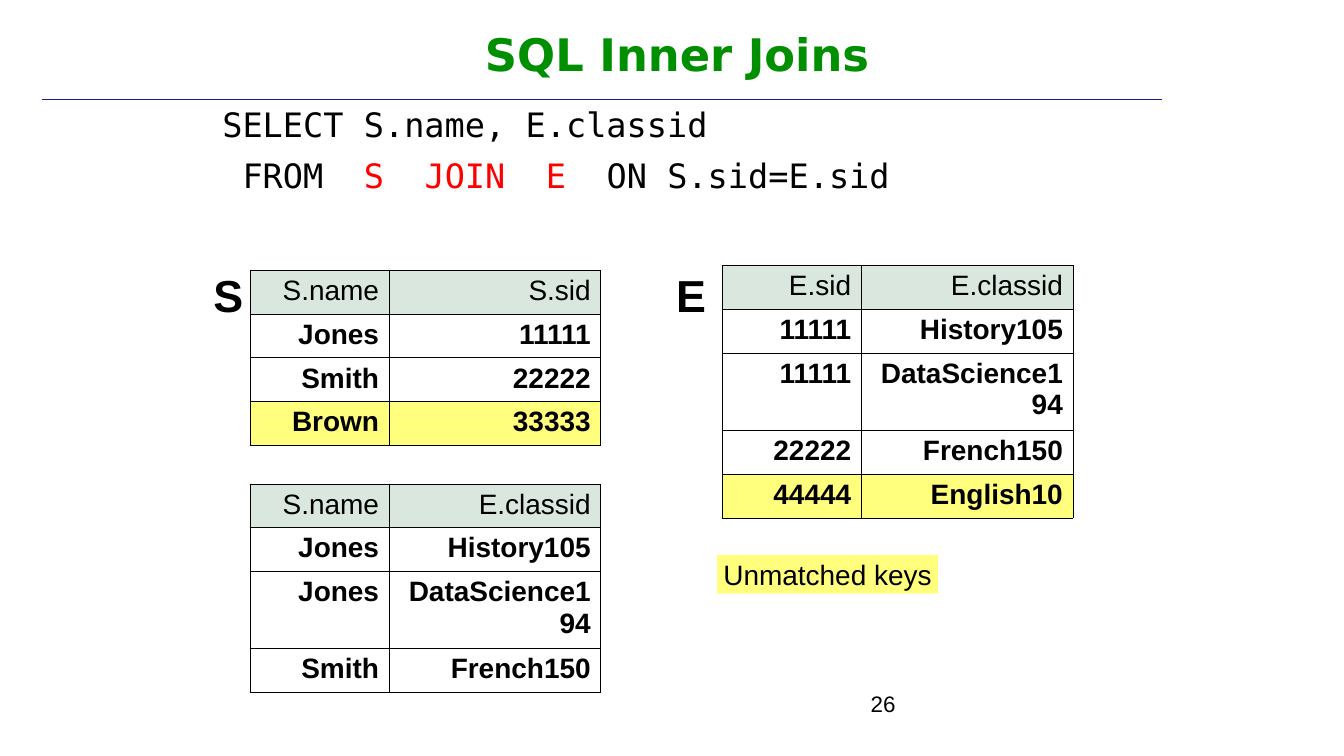
from dataclasses import dataclass

from lxml.etree import SubElement
from pptx import Presentation
from pptx.dml.color import RGBColor
from pptx.enum.shapes import MSO_CONNECTOR as Connector
from pptx.enum.text import MSO_ANCHOR as Anchor, PP_ALIGN as Align
from pptx.oxml.ns import qn
from pptx.util import Inches, Length, Pt

BLACK = RGBColor(0x00, 0x00, 0x00)
RED = RGBColor(0xFF, 0x00, 0x00)
GREEN = RGBColor(0x00, 0x8F, 0x00)
NAVY = RGBColor(0x19, 0x1B, 0x91)
HEADER_FILL = RGBColor(0xD9, 0xE7, 0xDF)
UNMATCHED_FILL = RGBColor(0xFF, 0xFF, 0x7D)

WIDTH, HEIGHT = Inches(26.67), Inches(15)
COLUMN_SHARES = (10.35, 15.75)
ROW_SHARE, WRAPPED_ROW_SHARE = 5.8, 10.2
LONGEST_LINE = 13


def across(percent: float) -> Length:
    return Length(round(WIDTH * percent / 100))


def down(percent: float) -> Length:
    return Length(round(HEIGHT * percent / 100))


@dataclass(frozen=True)
class Span:
    text: str
    color: RGBColor = BLACK


@dataclass(frozen=True)
class TextBlock:
    left: float
    top: float
    width: float
    height: float
    lines: tuple[tuple[Span, ...], ...]
    size: int
    font: str = "Arial"
    bold: bool = False
    align: Align = Align.CENTER
    anchor: Anchor = Anchor.TOP
    inset: Length | None = None
    gap: int = 0
    wrap: bool = False
    fill: RGBColor | None = None


@dataclass(frozen=True)
class Relation:
    left: float
    top: float
    rows: tuple[tuple[str, str], ...]
    unmatched_key: str = ""


TEXT_BLOCKS = (
    TextBlock(18.6, 1, 63.55, 12.2, ((Span("SQL Inner Joins", GREEN),),), 64,
              font="DejaVu Sans", bold=True, anchor=Anchor.MIDDLE,
              inset=Inches(0.08), wrap=True),
    TextBlock(16.24, 13.2, 82.6, 82.53,
              ((Span("SELECT S.name, E.classid"),),
               (Span(" FROM "), Span(" S  JOIN  E  ", RED), Span("ON S.sid=E.sid"))),
              48, font="DejaVu Sans Mono", align=Align.LEFT,
              inset=Inches(0.08), gap=16, wrap=True),
    TextBlock(49.91, 35.13, 3, 7.87, ((Span("E"),),), 64, bold=True),
    TextBlock(15.49, 35.13, 3, 7.87, ((Span("S"),),), 64, bold=True),
    TextBlock(53.36, 73.4, 16.42, 5.13, ((Span("Unmatched keys"),),), 40,
              fill=UNMATCHED_FILL),
    TextBlock(62.62, 90.93, 6.19, 4.27, ((Span("26"),),), 32, wrap=True),
)

RELATIONS = (
    Relation(18.6, 35.73,
             (("S.name", "S.sid"), ("Jones", "11111"),
              ("Smith", "22222"), ("Brown", "33333")), "33333"),
    Relation(53.73, 35.13,
             (("E.sid", "E.classid"), ("11111", "History105"),
              ("11111", "DataScience194"), ("22222", "French150"),
              ("44444", "English10")), "44444"),
    Relation(18.6, 64,
             (("S.name", "E.classid"), ("Jones", "History105"),
              ("Jones", "DataScience194"), ("Smith", "French150"))),
)


def add_span(para, span: Span, size: int, font: str, bold: bool) -> None:
    run = para.add_run()
    run.text = span.text
    run.font.size = Pt(size)
    run.font.name = font
    run.font.bold = bold
    run.font.color.rgb = span.color


def draw_text(page, block: TextBlock) -> None:
    box = page.shapes.add_textbox(across(block.left), down(block.top),
                                  across(block.width), down(block.height))
    if block.fill is not None:
        box.fill.solid()
        box.fill.fore_color.rgb = block.fill
    frame = box.text_frame
    frame.word_wrap = block.wrap
    frame.vertical_anchor = block.anchor
    if block.inset is not None:
        frame.margin_left = frame.margin_right = block.inset
        frame.margin_top = frame.margin_bottom = block.inset
    for index, line in enumerate(block.lines):
        para = frame.add_paragraph() if index else frame.paragraphs[0]
        para.alignment = block.align
        if index:
            para.space_before = Pt(block.gap)
        for span in line:
            add_span(para, span, block.size, block.font, block.bold)


def border_cell(cell) -> None:
    properties = cell._tc.get_or_add_tcPr()
    for index, side in enumerate(("a:lnL", "a:lnR", "a:lnT", "a:lnB")):
        border = SubElement(properties, qn(side), w=str(Pt(1)))
        fill = SubElement(border, qn("a:solidFill"))
        SubElement(fill, qn("a:srgbClr"), val=str(BLACK))
        properties.remove(border)
        properties.insert(index, border)


def draw_cell(cell, text: str, header: bool, unmatched: bool) -> None:
    cell.margin_left = cell.margin_right = Inches(0.2)
    cell.margin_top = cell.margin_bottom = Inches(0.1)
    if header or unmatched:
        cell.fill.solid()
        cell.fill.fore_color.rgb = HEADER_FILL if header else UNMATCHED_FILL
    else:
        cell.fill.background()
    border_cell(cell)
    para = cell.text_frame.paragraphs[0]
    para.alignment = Align.RIGHT
    add_span(para, Span(text), 40, "Arial", not header)


def draw_relation(page, relation: Relation) -> None:
    shares = [WRAPPED_ROW_SHARE if max(map(len, row)) > LONGEST_LINE else ROW_SHARE
              for row in relation.rows]
    grid = page.shapes.add_table(
        len(shares), len(COLUMN_SHARES), across(relation.left), down(relation.top),
        across(sum(COLUMN_SHARES)), down(sum(shares))).table
    grid.horz_banding = False
    for column, share in zip(grid.columns, COLUMN_SHARES):
        column.width = across(share)
    for index, (row, share) in enumerate(zip(relation.rows, shares)):
        grid.rows[index].height = down(share)
        for position, text in enumerate(row):
            draw_cell(grid.cell(index, position), text, index == 0,
                      relation.unmatched_key in row)


def draw_title_rule(page) -> None:
    rule = page.shapes.add_connector(Connector.STRAIGHT, across(3.11), down(13.13),
                                     across(86.46), down(13.13))
    rule.line.color.rgb = NAVY
    rule.line.width = Pt(1)
    SubElement(rule._element.spPr, qn("a:effectLst"))


def main() -> None:
    deck = Presentation()
    deck.slide_width, deck.slide_height = WIDTH, HEIGHT
    page = deck.slides.add_slide(deck.slide_layouts[6])
    draw_title_rule(page)
    for relation in RELATIONS:
        draw_relation(page, relation)
    for block in TEXT_BLOCKS:
        draw_text(page, block)
    deck.save("out.pptx")


if __name__ == "__main__":
    main()
